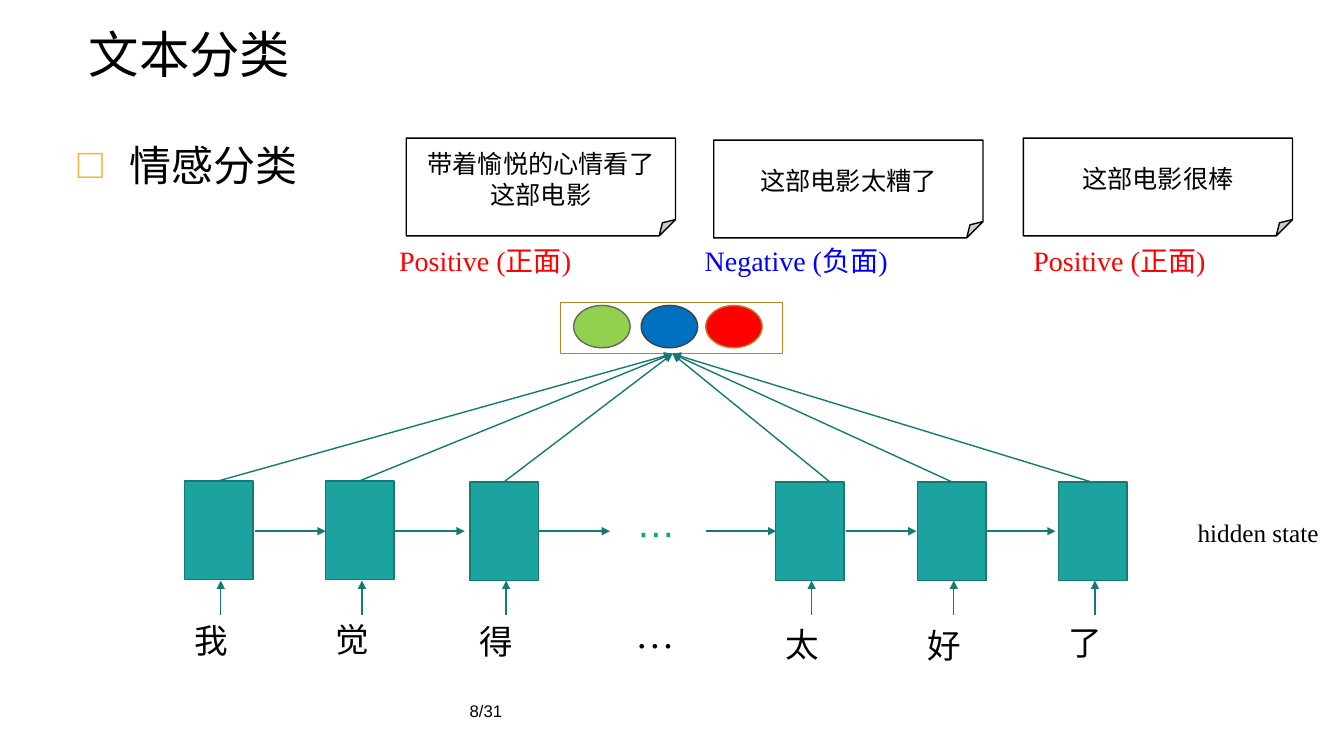
"""Build the sentiment classification slide with its recurrent network diagram."""
from lxml.etree import SubElement
from pptx import Presentation
from pptx.dml.color import RGBColor
from pptx.enum.shapes import MSO_CONNECTOR as Connector, MSO_SHAPE as Shape
from pptx.enum.text import MSO_ANCHOR as Anchor, PP_ALIGN as Align
from pptx.oxml.ns import qn
from pptx.util import Inches, Pt

BLACK, RED, BLUE, GREEN = "000000", "FF0000", "0000FF", "00B050"
CELL_FILL, CELL_LINE, GOLD = "1CA39F", "157976", "BA842B"
SERIF, SANS = "Times New Roman", "Arial"


def write(shape, text, size, color=BLACK, font=SANS, align=Align.LEFT):
    shape.text_frame.word_wrap = True
    paragraph = shape.text_frame.paragraphs[0]
    paragraph.alignment = align
    run = paragraph.add_run()
    run.text = text
    run.font.size = Pt(size)
    run.font.name = font
    run.font.color.rgb = RGBColor.from_string(color)
    return paragraph


def draw(shapes, kind, box, fill, line):
    shape = shapes.add_shape(kind, *map(Inches, box))
    shape.shadow.inherit = False
    if fill:
        shape.fill.solid()
        shape.fill.fore_color.rgb = RGBColor.from_string(fill)
    else:
        shape.fill.background()
    shape.line.color.rgb = RGBColor.from_string(line)
    shape.line.width = Pt(1)
    return shape


presentation = Presentation()
presentation.slide_width = Inches(13.33)
presentation.slide_height = Inches(7.5)
slide = presentation.slides.add_slide(presentation.slide_layouts[1])

title, body = slide.placeholders[0], slide.placeholders[1]
for placeholder, box in ((title, (0.84, 0.18, 11.71, 0.69)), (body, (0.67, 1.33, 12, 5.4))):
    placeholder.left, placeholder.top, placeholder.width, placeholder.height = map(Inches, box)
title_frame = title.text_frame
title_frame.vertical_anchor = Anchor.MIDDLE
title_frame.margin_left = title_frame.margin_right = Inches(0.04)
title_frame.margin_top = title_frame.margin_bottom = Inches(0.04)
write(title, "文本分类", 36)

topic = write(body, "情感分类", 30, font=SERIF)
topic.space_before = Pt(6)
properties = topic._p.get_or_add_pPr()
properties.set("marL", str(Inches(0.51)))
properties.set("indent", str(-Inches(0.51)))
bullet_color = SubElement(properties, qn("a:buClr"))
SubElement(bullet_color, qn("a:srgbClr"), val="FCB33A")
SubElement(properties, qn("a:buFont"), typeface=SANS)
SubElement(properties, qn("a:buChar"), char="□")

reviews = [
    (4.03, 1.37, "带着愉悦的心情看了这部电影"),
    (7.08, 1.39, "这部电影太糟了"),
    (10.15, 1.37, "这部电影很棒"),
]
for left, top, review in reviews:
    note = draw(slide.shapes, Shape.FOLDED_CORNER, (left, top, 2.67, 0.97), "FFFFFF", BLACK)
    note.text_frame.vertical_anchor = Anchor.MIDDLE
    write(note, review, 18, align=Align.CENTER)

output = slide.shapes.add_group_shape()
draw(output.shapes, Shape.RECTANGLE, (5.56, 3, 2.2, 0.51), None, GOLD)
for left, fill, line in ((5.69, "92D050", "67685D"), (6.36, "0070C0", "413F46"), (7, RED, GOLD)):
    draw(output.shapes, Shape.OVAL, (left, 3.03, 0.56, 0.42), fill, line)

cells = [
    (1.83, 4.77, 2.17, "我", 6.1),
    (3.23, 4.77, 3.57, "觉", 6.09),
    (4.66, 4.78, 5, "得", 6.11),
    (7.69, 4.78, 8.23, "太", 6.14),
    (9.1, 4.78, 9.44, "好", 6.15),
    (10.5, 4.78, 10.82, "了", 6.12),
]
labels = [
    (3.86, 2.37, 3.13, 0.44, "Positive (正面)", 20, RED, SERIF, Align.LEFT),
    (6.89, 2.37, 3.13, 0.44, "Negative (负面)", 20, BLUE, SERIF, Align.LEFT),
    (10.15, 2.37, 3.13, 0.44, "Positive (正面)", 20, RED, SERIF, Align.LEFT),
    (5.7, 4.89, 1.61, 0.57, "…", 28, GREEN, SANS, Align.CENTER),
    (5.69, 6, 1.61, 0.57, "…", 28, BLACK, SERIF, Align.CENTER),
    (11.78, 5.08, 1.56, 0.4, "hidden state", 18, BLACK, SERIF, Align.LEFT),
    (4.56, 6.9, 4.22, 0.52, "8/31", 12, BLACK, SANS, Align.LEFT),
]
arrows = [(left, 5.27, left + 0.7, 5.27) for left in (2.53, 3.91, 5.35, 7, 8.39, 9.77)]
for left, top, fan_start, character, character_top in cells:
    draw(slide.shapes, Shape.RECTANGLE, (left, top, 0.68, 0.98), CELL_FILL, CELL_LINE)
    labels.append((left, character_top, 0.54, 0.5, character, 24, BLACK, SANS, Align.LEFT))
    arrows.append((left + 0.36, 6.1, left + 0.36, 5.76))
    arrows.append((fan_start, top, 6.67, 3.51))

for left, top, width, height, text, size, color, font, align in labels:
    label = slide.shapes.add_textbox(*map(Inches, (left, top, width, height)))
    write(label, text, size, color, font, align)

for ends in arrows:
    arrow = slide.shapes.add_connector(Connector.STRAIGHT, *map(Inches, ends))
    arrow.line.color.rgb = RGBColor.from_string(CELL_LINE)
    arrow.line.width = Pt(1)
    SubElement(arrow.line._get_or_add_ln(), qn("a:tailEnd"), type="triangle")
    SubElement(arrow._element.spPr, qn("a:effectLst"))

presentation.save("out.pptx")
